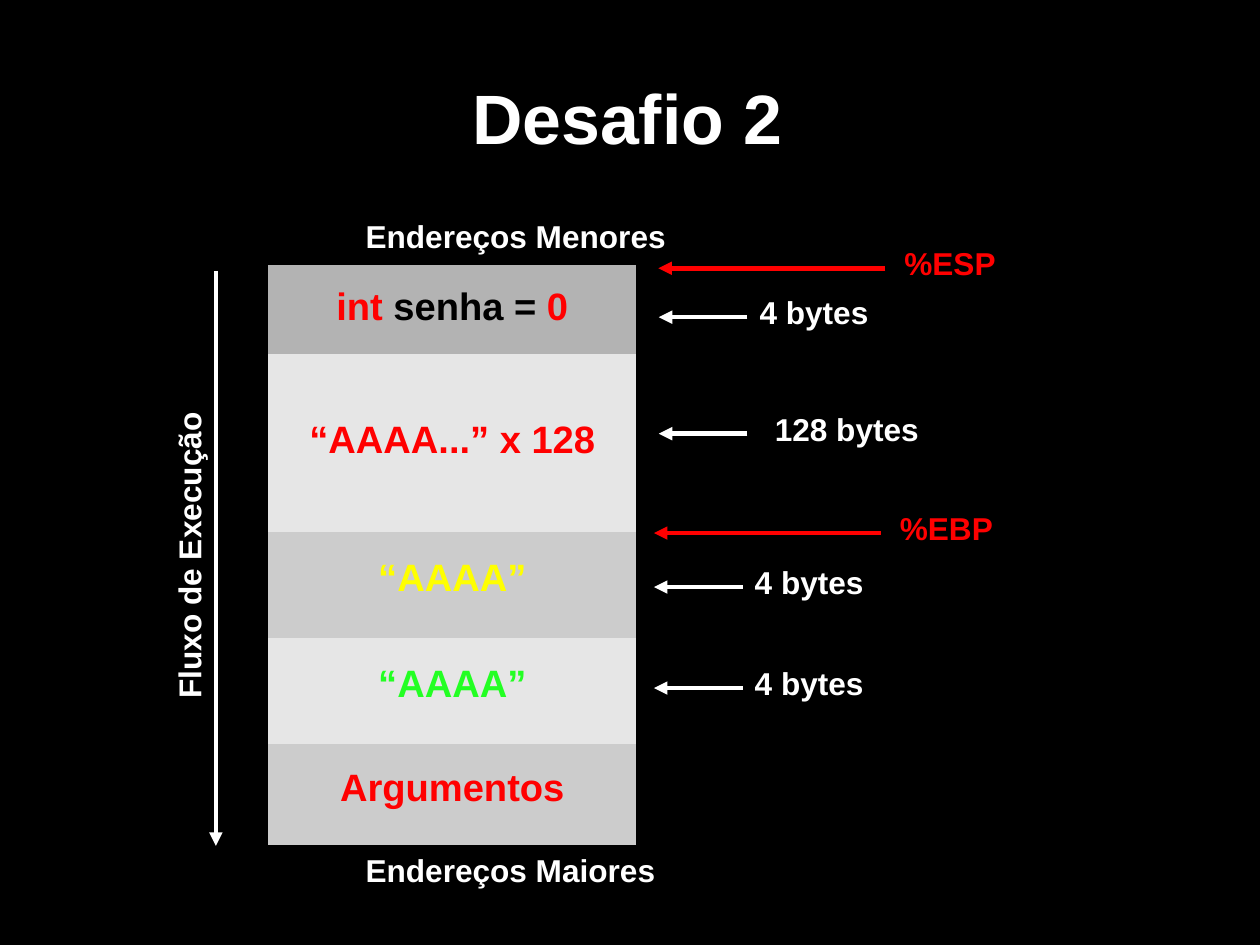
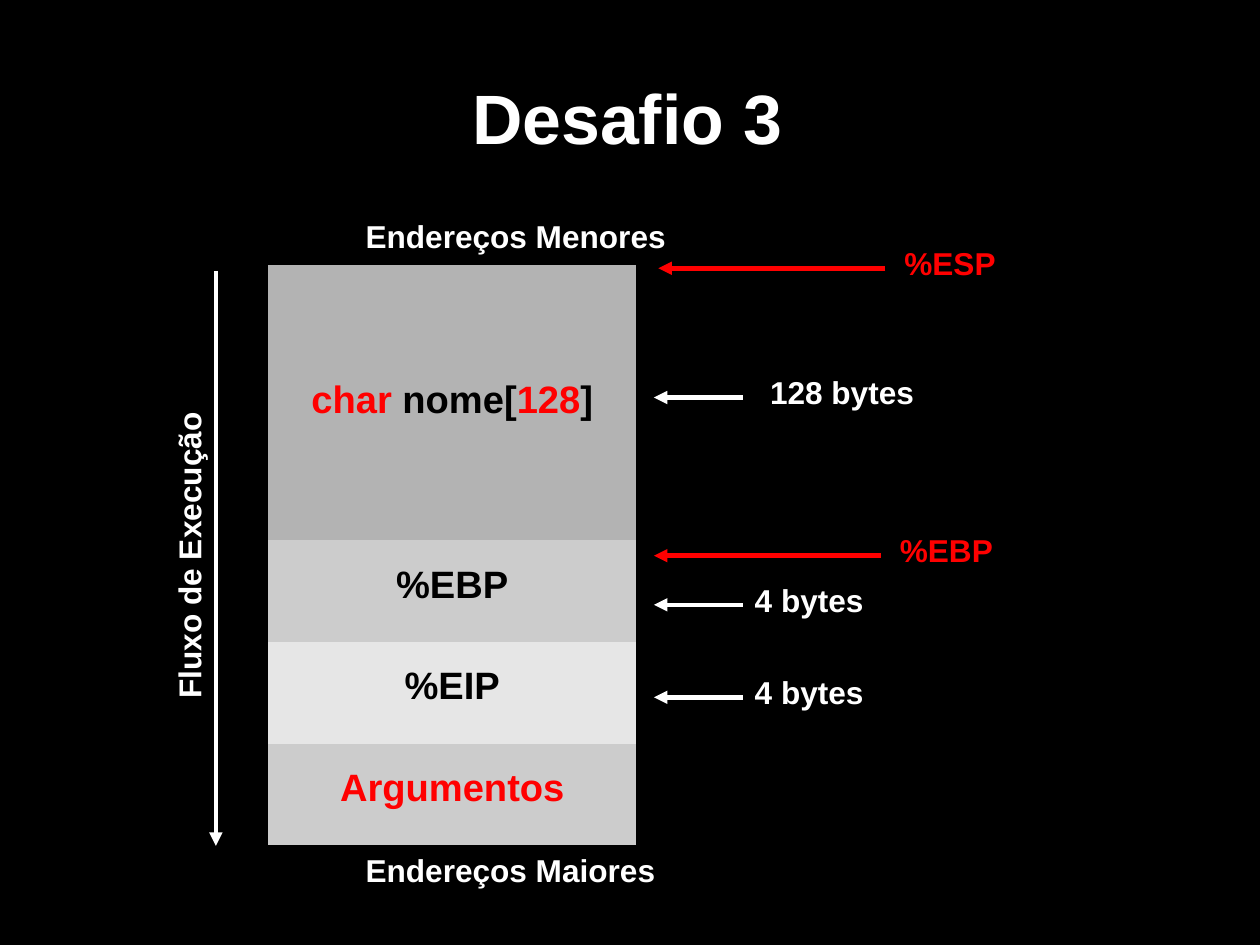
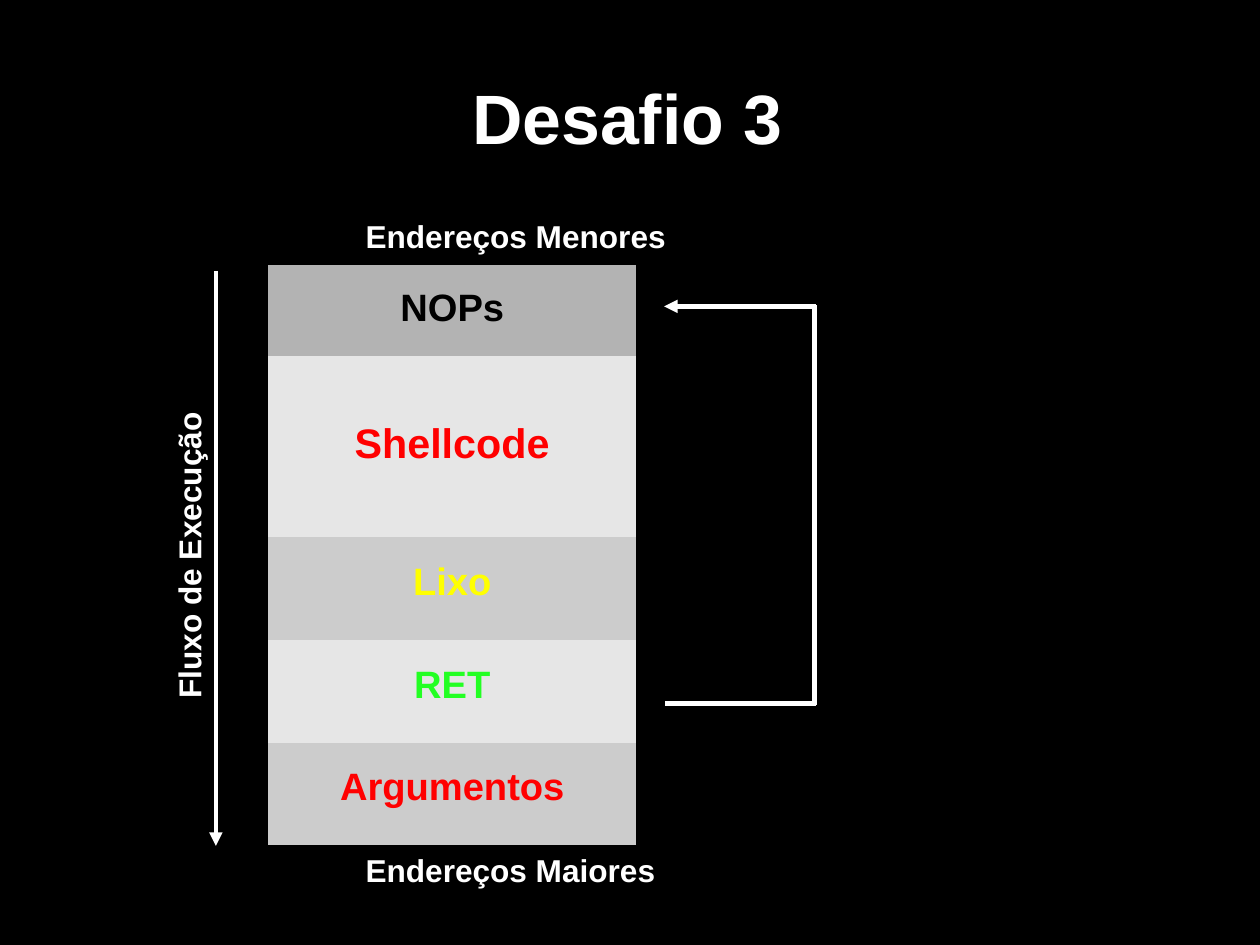
from lxml import etree
from pptx import Presentation
from pptx.dml.color import RGBColor
from pptx.enum.shapes import MSO_CONNECTOR
from pptx.enum.text import MSO_ANCHOR, PP_ALIGN
from pptx.oxml.ns import qn
from pptx.util import Pt

STRAIGHT = MSO_CONNECTOR.STRAIGHT
MIDDLE = MSO_ANCHOR.MIDDLE
LEFT, CENTER = PP_ALIGN.LEFT, PP_ALIGN.CENTER
NO_TABLE_STYLE = "{2D5ABB26-0587-4C30-8999-92F81FD0307C}"

COLORS = {
    "black": "000000", "white": "FFFFFF", "red": "FF0000",
    "yellow": "FFFF00", "green": "23FF23",
    "dark": "B3B3B3", "mid": "CCCCCC", "light": "E6E6E6",
}
TITLE_SIZE, LABEL_SIZE, CELL_SIZE = 44, 19.9, 24
LOOSE, TIGHT = 0.87, 0.54

# Content: stack rows are (height, fill, line spacing, size, spans)
ARGUMENTS = [("Argumentos", "red")]
# Pointers are (kind, text, tip x, y)
ESP_POINTER = ("register", "%ESP", 414.8, 169)
SLIDES = [
    {
        "title": "Desafio 2",
        "rows": [
            (56, "dark", LOOSE, CELL_SIZE,
             [("int ", "red"), ("senha =", "black"), (" 0", "red")]),
            (112, "light", LOOSE, CELL_SIZE, [("“AAAA...” x 128", "red")]),
            (66.8, "mid", TIGHT, CELL_SIZE, [("“AAAA”", "yellow")]),
            (66.8, "light", TIGHT, CELL_SIZE, [("“AAAA”", "green")]),
            (63.6, "mid", TIGHT, CELL_SIZE, ARGUMENTS),
        ],
        "pointers": [
            ESP_POINTER,
            ("word", "4 bytes", 415, 199.8),
            ("buffer", "128 bytes", 415, 273.2),
            ("register", "%EBP", 412, 335.8),
            ("word", "4 bytes", 412, 369.8),
            ("word", "4 bytes", 412, 433.4),
        ],
    },
    {
        "title": "Desafio 3",
        "rows": [
            (173.4, "dark", LOOSE, CELL_SIZE,
             [("char ", "red"), ("nome[", "black"), ("128", "red"), ("]", "black")]),
            (64, "mid", TIGHT, CELL_SIZE, [("%EBP", "black")]),
            (64, "light", TIGHT, CELL_SIZE, [("%EIP", "black")]),
            (63.8, "mid", TIGHT, CELL_SIZE, ARGUMENTS),
        ],
        "pointers": [
            ESP_POINTER,
            ("buffer", "128 bytes", 412, 250.4),
            ("register", "%EBP", 412, 350),
            ("word", "4 bytes", 412, 381),
            ("word", "4 bytes", 412, 439.2),
        ],
    },
    {
        "title": "Desafio 3",
        "rows": [
            (57.2, "dark", LOOSE, CELL_SIZE, [("NOPs", "black")]),
            (114.2, "light", LOOSE, 26, [("Shellcode", "red")]),
            (64.8, "mid", TIGHT, CELL_SIZE, [("Lixo", "yellow")]),
            (64.8, "light", TIGHT, CELL_SIZE, [("RET", "green")]),
            (64.2, "mid", TIGHT, CELL_SIZE, ARGUMENTS),
        ],
        "pointers": [],
        # Return jump: segments as (start, end, has arrowhead)
        "jump": [
            ((419, 443), (514, 443), False),
            ((513.2, 444), (513.2, 192), False),
            ((514, 193), (418.4, 193), True),
        ],
    },
]

# Geometry
SLIDE_SIZE = (793.75, 595.25)
TITLE_BOX = (39.6, 10.8, 711.4, 124.6)
STACK_LEFT, STACK_TOP, STACK_WIDTH = 169, 167, 231.8
LABEL_HEIGHT, LABEL_RISE = 31.7, 18.8
ADDRESS_LABELS = [("Endereços Menores", 133.2), ("Endereços Maiores", 532.6)]
ADDRESS_LEFT, ADDRESS_WIDTH = 223.2, 220
FLOW_X, FLOW_TOP, FLOW_BOTTOM = 136, 170.6, 532.8
FLOW_LABEL_BOX = (-12.2, 300, 262.8, LABEL_HEIGHT)
POINTER_STYLES = {
    "register": {"length": 143, "gap": 4.8, "width": 90, "color": "red"},
    "word": {"length": 55.8, "gap": 0.6, "width": 100, "color": "white"},
    "buffer": {"length": 55.8, "gap": 10.2, "width": 120, "color": "white"},
}


def rgb(name):
    return RGBColor.from_string(COLORS[name])


def write(frame, spans, size, align=LEFT, spacing=None):
    para = frame.paragraphs[0]
    para.alignment = align
    para.line_spacing = spacing
    font_format = {"name": "Arial", "size": Pt(size), "bold": True}
    for text, color in spans:
        span = para.add_run()
        span.text = text
        for key, value in font_format.items():
            setattr(span.font, key, value)
        span.font.color.rgb = rgb(color)


def add_label(page, text, box, color="white"):
    label = page.shapes.add_textbox(*map(Pt, box))
    label.text_frame.word_wrap = True
    write(label.text_frame, [(text, color)], LABEL_SIZE)
    return label


def add_line(page, start, end, color="white", arrow=True):
    line = page.shapes.add_connector(STRAIGHT, *map(Pt, (*start, *end)))
    line.line.color.rgb = rgb(color)
    line.line.width = Pt(2.83)
    properties = line.element.spPr
    if arrow:
        etree.SubElement(properties.find(qn("a:ln")), qn("a:tailEnd"), type="triangle")
    etree.SubElement(properties, qn("a:effectLst"))


def add_title(page, text):
    title = page.shapes.title
    for key, value in zip(("left", "top", "width", "height"), TITLE_BOX):
        setattr(title, key, Pt(value))
    title.text_frame.vertical_anchor = MIDDLE
    write(title.text_frame, [(text, "white")], TITLE_SIZE, CENTER)


def add_stack(page, rows):
    height = sum(row[0] for row in rows)
    frame = page.shapes.add_table(
        len(rows), 1, Pt(STACK_LEFT), Pt(STACK_TOP), Pt(STACK_WIDTH), Pt(height))
    for style in frame.element.iter(qn("a:tableStyleId")):
        style.text = NO_TABLE_STYLE
    table = frame.table
    table.first_row = table.horz_banding = False
    for index, (row_height, fill, spacing, size, spans) in enumerate(rows):
        table.rows[index].height = Pt(row_height)
        cell = table.cell(index, 0)
        cell.fill.solid()
        cell.fill.fore_color.rgb = rgb(fill)
        cell.vertical_anchor = MIDDLE
        cell.margin_left = cell.margin_right = Pt(3)
        write(cell.text_frame, spans, size, CENTER, spacing)


def add_flow(page):
    for text, top in ADDRESS_LABELS:
        add_label(page, text, (ADDRESS_LEFT, top, ADDRESS_WIDTH, LABEL_HEIGHT))
    add_line(page, (FLOW_X, FLOW_TOP), (FLOW_X, FLOW_BOTTOM))
    add_label(page, "Fluxo de Execução", FLOW_LABEL_BOX).rotation = 270


def add_pointer(page, kind, text, tip, y):
    style = POINTER_STYLES[kind]
    tail = tip + style["length"]
    add_line(page, (tail, y), (tip, y), style["color"])
    box = (tail + style["gap"], y - LABEL_RISE, style["width"], LABEL_HEIGHT)
    add_label(page, text, box, style["color"])


def main():
    deck = Presentation()
    deck.slide_width, deck.slide_height = map(Pt, SLIDE_SIZE)
    background = deck.slide_master.background.fill
    background.solid()
    background.fore_color.rgb = rgb("black")
    title_only = deck.slide_layouts[5]
    for content in SLIDES:
        page = deck.slides.add_slide(title_only)
        add_title(page, content["title"])
        add_stack(page, content["rows"])
        add_flow(page)
        for pointer in content["pointers"]:
            add_pointer(page, *pointer)
        for start, end, arrow in content.get("jump", []):
            add_line(page, start, end, arrow=arrow)
    deck.save("out.pptx")


if __name__ == "__main__":
    main()
